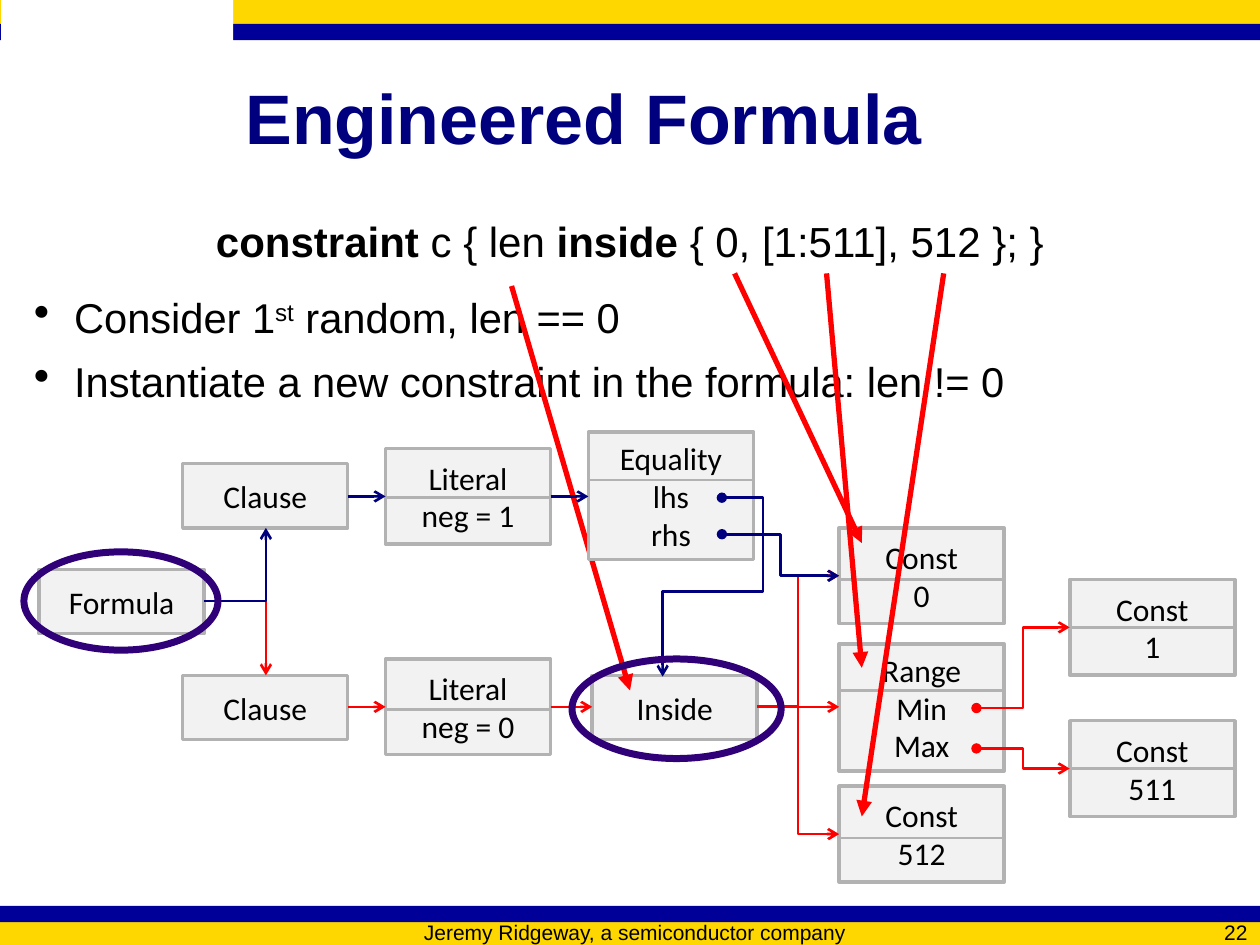
"""Build the Engineered Formula slide."""
from lxml import etree
from pptx import Presentation
from pptx.dml.color import RGBColor as Rgb
from pptx.enum.shapes import MSO_CONNECTOR as Conn, MSO_SHAPE as Form
from pptx.enum.text import MSO_ANCHOR as Anchor, PP_ALIGN as Align
from pptx.oxml.ns import qn
from pptx.util import Inches, Pt

HUES = {"gold": "FFD700", "blue": "000099", "white": "FFFFFF", "navy": "00007F",
        "black": "000000", "pale": "F2F2F2", "gray": "B2B2B2", "red": "FF0000",
        "violet": "300079"}

BARS = [("gold", 0, 0, 10, 0.19), ("blue", 0, 0.19, 10, 0.13),
        ("white", 0.01, 0, 1.84, 1.08),
        ("gold", 0, 7.31, 10, 0.19), ("blue", 0, 7.19, 10, 0.13)]

TITLE = "Engineered Formula"
POINTS = [[("Consider 1", ""), ("st", "sup"), (" random, len == 0", "")],
          [("Instantiate a new constraint in the formula: len != 0", "")]]
CODE = [("constraint", "bold"), (" c { len ", ""), ("inside", "bold"),
        (" { 0, [1:511], 512 }; }", "")]
FOOT = "Jeremy Ridgeway, a semiconductor company"
PAGE = "22"

NODES = [(0.31, 4.52, ["Formula"], 0), (1.45, 5.36, ["Clause"], 0),
         (4.7, 5.36, ["Inside"], 0), (3.06, 5.23, ["Literal", "neg = 0"], 0.4),
         (6.66, 4.19, ["Const", "0"], 0.41),
         (6.66, 5.11, ["Range", "Min", "Max"], 0.37),
         (6.66, 6.24, ["Const", "512"], 0.41),
         (8.49, 4.6, ["Const", "1"], 0.38), (8.49, 5.72, ["Const", "511"], 0.38)]
NEW = [(1.45, 3.68, ["Clause"], 0), (3.06, 3.56, ["Literal", "neg = 1"], 0.39),
       (4.67, 3.43, ["Equality", "lhs", "rhs"], 0.38)]

LINKS = [((6.01, 5.61), (6.66, 4.57), "bentConnector3", None),
         ((6.01, 5.61), (6.66, 5.61), "line", None),
         ((6.01, 5.61), (6.66, 6.62), "bentConnector3", None),
         ((7.75, 5.62), (8.49, 4.98), "bentConnector3", "oval"),
         ((7.75, 5.94), (8.49, 6.1), "bentConnector3", "oval"),
         ((1.62, 4.77), (2.11, 5.36), "bentConnector2", None),
         ((2.76, 5.61), (3.06, 5.61), "line", None),
         ((4.37, 5.61), (4.7, 5.61), "line", None)]
MAPS = [((4.06, 2.27), (5, 5.48)), ((5.83, 2.17), (6.84, 4.31)),
        ((6.56, 2.17), (6.84, 5.3)), ((7.49, 2.17), (6.84, 6.48))]
NEW_LINKS = [((1.62, 4.77), (2.11, 4.19), "bentConnector2", None),
             ((2.76, 3.94), (3.06, 3.94), "line", None),
             ((5.73, 3.95), (5.26, 5.37), "bentConnector4", "oval"),
             ((5.73, 4.24), (6.66, 4.57), "bentConnector3", "oval"),
             ((4.37, 3.94), (4.67, 3.94), "line", None)]
BENDS = {"bentConnector4": [-69400, 52400]}
RINGS = [(4.54, 5.23, 1.66, 0.79), (0.19, 4.38, 1.54, 0.78)]


def hue(name):
    return Rgb.from_string(HUES[name])


def add_form(slide, form, box, fill=None, edge=None, width=0):
    shape = slide.shapes.add_shape(form, *map(Inches, box))
    shape.shadow.inherit = False
    if fill:
        shape.fill.solid()
        shape.fill.fore_color.rgb = hue(fill)
    else:
        shape.fill.background()
    if edge:
        shape.line.color.rgb = hue(edge)
        shape.line.width = Pt(width)
    else:
        shape.line.fill.background()
    return shape


def style(para, size, face="Arial", color="black", align=Align.LEFT):
    para.alignment = align
    para.font.size = Pt(size)
    para.font.name = face
    para.font.color.rgb = hue(color)


def add_runs(para, runs):
    for text, kind in runs:
        run = para.add_run()
        run.text = text
        if kind == "bold":
            run.font.bold = True
        elif kind == "sup":
            run.font._element.set("baseline", "30000")


def add_text(slide, box, anchor=Anchor.MIDDLE):
    frame = slide.shapes.add_textbox(*map(Inches, box)).text_frame
    frame.word_wrap = True
    frame.vertical_anchor = anchor
    return frame


def add_line(slide, start, end, color, width, kind="line", head=None, tail=None):
    form = Conn.STRAIGHT if kind == "line" else Conn.ELBOW
    link = slide.shapes.add_connector(form, *map(Inches, start + end))
    link.line.color.rgb = hue(color)
    link.line.width = Pt(width)
    props = link._element.spPr
    geom = props.find(qn("a:prstGeom"))
    geom.set("prst", kind)
    if kind in BENDS:
        guides = geom.get_or_add_avLst()
        for num, value in enumerate(BENDS[kind], 1):
            etree.SubElement(guides, qn("a:gd"), name=f"adj{num}", fmla=f"val {value}")
    edge = props.find(qn("a:ln"))
    for tag, tip in (("a:headEnd", head), ("a:tailEnd", tail)):
        if tip:
            etree.SubElement(edge, qn(tag), type=tip)
    etree.SubElement(props, qn("a:effectLst"))


def add_node(slide, left, top, lines, rule):
    box = (left, top, 1.31, 0.26 + 0.25 * len(lines))
    frame = add_form(slide, Form.RECTANGLE, box, "pale", "gray", 2).text_frame
    frame.word_wrap = True
    frame.vertical_anchor = Anchor.MIDDLE
    for num, text in enumerate(lines):
        para = frame.add_paragraph() if num else frame.paragraphs[0]
        para.text = text
        style(para, 18, "Calibri", align=Align.CENTER)
    if rule:
        add_line(slide, (left, top + rule), (left + 1.31, top + rule), "gray", 1.5)


def add_points(slide):
    frame = add_text(slide, (0.17, 2.27, 9.67, 1), Anchor.TOP)
    for num, runs in enumerate(POINTS):
        para = frame.add_paragraph() if num else frame.paragraphs[0]
        props = para._p.get_or_add_pPr()
        props.set("marL", str(Inches(0.32)))
        props.set("indent", str(-Inches(0.32)))
        if num:
            para.space_before = Pt(8)
        etree.SubElement(props, qn("a:buSzPct"), val="110000")
        etree.SubElement(props, qn("a:buChar"), char="•")
        style(para, 23.8)
        add_runs(para, runs)


def main():
    deck = Presentation()
    deck.slide_width, deck.slide_height = Inches(10), Inches(7.5)
    slide = deck.slides.add_slide(deck.slide_layouts[6])
    for fill, *box in BARS:
        add_form(slide, Form.RECTANGLE, box, fill)

    title = add_text(slide, (1.85, 0.3, 8, 1.25)).paragraphs[0]
    title.text = TITLE
    style(title, 40, color="navy")
    title.font.bold = True
    add_points(slide)
    for text, box, align in ((FOOT, (1.25, 7.31, 7.58, 0.17), Align.CENTER),
                             (PAGE, (9, 7.31, 1, 0.17), Align.RIGHT)):
        para = add_text(slide, box).paragraphs[0]
        para.text = text
        style(para, 12, align=align)

    for node in NODES:
        add_node(slide, *node)
    for start, end, kind, head in LINKS:
        add_line(slide, start, end, "red", 1.5, kind, head, "arrow")
    code = add_text(slide, (0, 1.66, 10, 0.5), Anchor.TOP).paragraphs[0]
    style(code, 24, align=Align.CENTER)
    add_runs(code, CODE)
    for start, end in MAPS:
        add_line(slide, start, end, "red", 3, tail="triangle")

    for node in NEW:
        add_node(slide, *node)
    for start, end, kind, head in NEW_LINKS:
        add_line(slide, start, end, "navy", 1.5, kind, head, "arrow")
    for box in RINGS:
        add_form(slide, Form.OVAL, box, edge="violet", width=4)
    deck.save("out.pptx")


if __name__ == "__main__":
    main()
